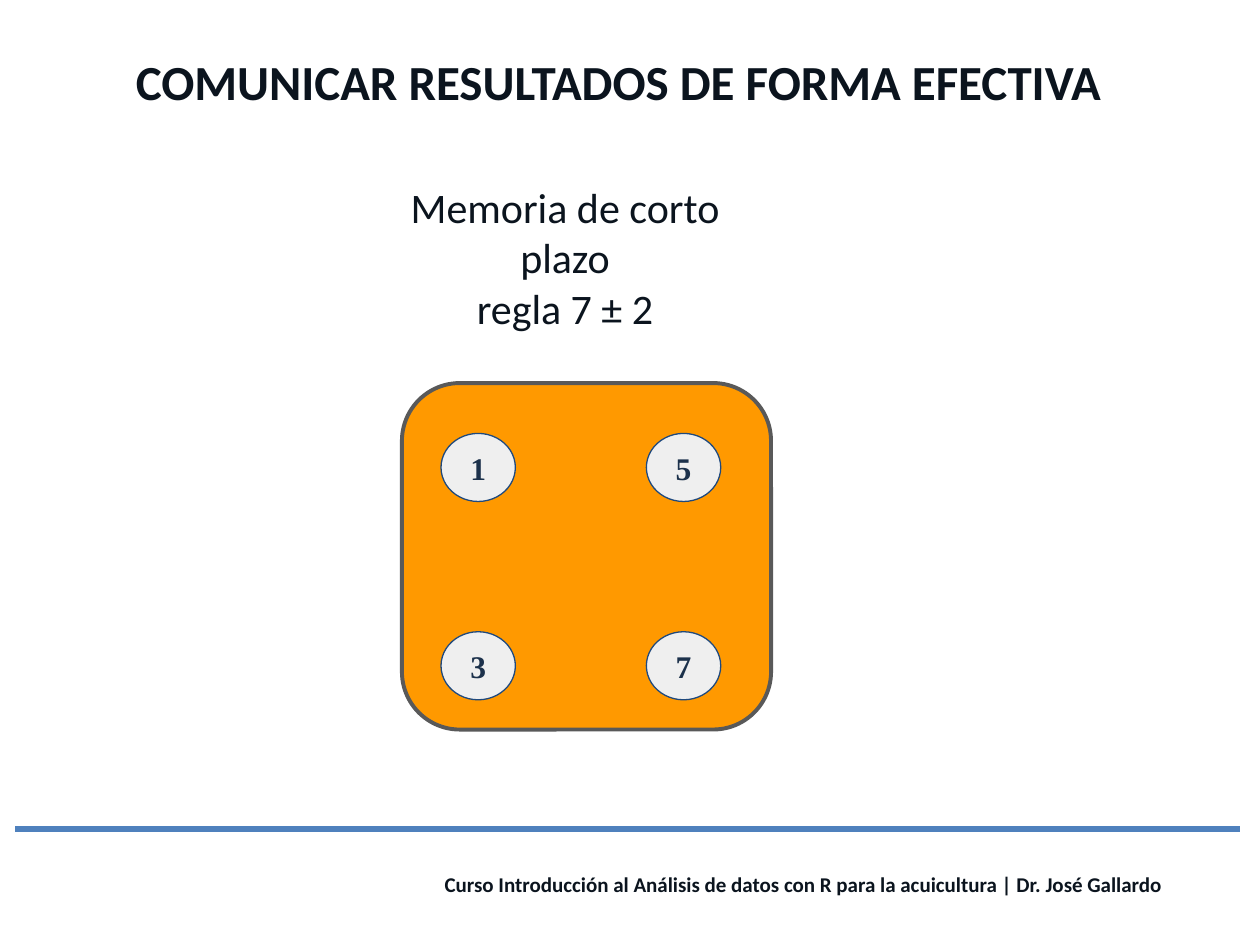
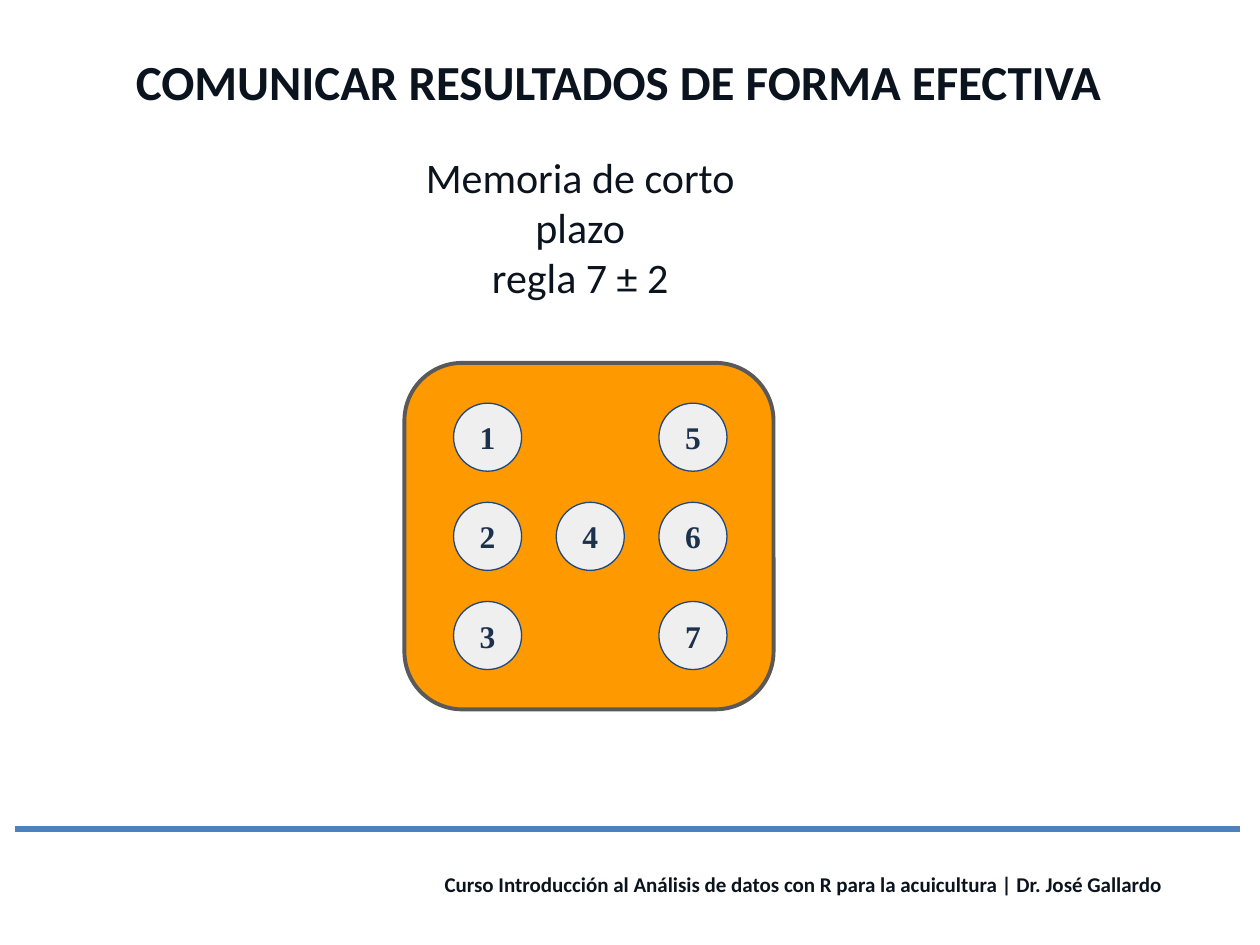
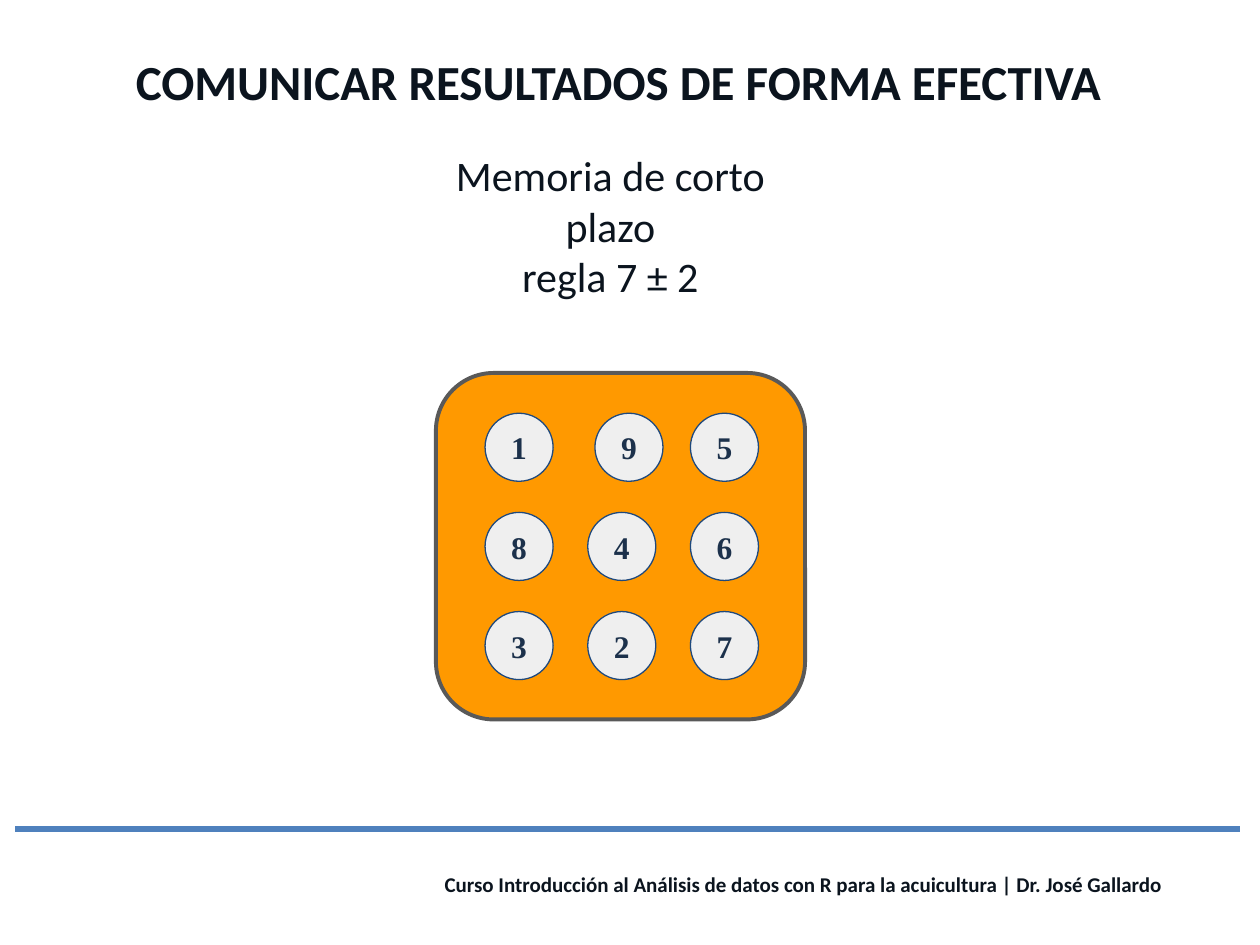
import pptx
import pptx.util
import pptx.dml.color
import pptx.enum.shapes
import pptx.enum.text
import pptx.oxml

# The slide is a grid of 100 columns by 75 rows; every length is in grid units.
COLUMNS, ROWS = 100, 75
WIDTH, HEIGHT = pptx.util.Inches(10), pptx.util.Inches(7.5)

INK, RULE = "0B141E", "4F81BD"
BOARD_FILL, BOARD_LINE = "FF9900", "595959"
BALL_FILL, BALL_LINE, BALL_INK = "EFEFEF", "1F497D", "1C314B"

TITLE_FONT = {"name": "Calibri", "size": 28, "bold": True, "color": INK}
CAPTION_FONT = {"name": "Calibri", "size": 24, "bold": False, "color": INK}
FOOTER_FONT = {"name": "Calibri", "size": 12, "bold": True, "color": INK}
BALL_FONT = {"name": "Times New Roman", "size": 18, "bold": True, "color": BALL_INK}

TITLE = "COMUNICAR RESULTADOS DE FORMA EFECTIVA"
FOOTER = "Curso Introducción al Análisis de datos con R para la acuicultura | Dr. José Gallardo"
CAPTION = ["Memoria de corto plazo", "regla 7 ± 2"]

CAPTION_SIZE = (30.7, 13.1)
BOARD_SIZE = (29.3, 27.5)
BALL_PITCH = (8.15, 7.87)
BALL_HEIGHT = 5.4

# Each ball maps its number to (column, row) on the board.
SLIDES = [
    {"caption_at": (29.5, 13.9), "board_at": (31.9, 30.4), "inset": (3.1, 4),
     "ball_width": 5.9,
     "balls": {1: (0, 0), 3: (0, 2), 5: (2, 0), 7: (2, 2)}},
    {"caption_at": (30.7, 11.5), "board_at": (32.1, 28.8), "inset": (3.9, 3.2),
     "ball_width": 5.4,
     "balls": {1: (0, 0), 2: (0, 1), 3: (0, 2), 4: (1, 1),
               5: (2, 0), 6: (2, 1), 7: (2, 2)}},
    {"caption_at": (33.1, 11.4), "board_at": (34.6, 29.6), "inset": (3.9, 3.2),
     "ball_width": 5.4,
     "balls": {1: (0, 0), 2: (1, 2), 3: (0, 2), 4: (1, 1), 5: (2, 0),
               6: (2, 1), 7: (2, 2), 8: (0, 1), 9: (1.07, 0)}},
]


def rgb(color):
    return pptx.dml.color.RGBColor.from_string(color)


def across(columns):
    return round(WIDTH * columns / COLUMNS)


def down(rows):
    return round(HEIGHT * rows / ROWS)


def frame(left, top, width, height):
    return across(left), down(top), across(width), down(height)


def write(text_frame, lines, font, align):
    text_frame.word_wrap = True
    for index, line in enumerate(lines):
        paragraph = text_frame.paragraphs[0] if index == 0 else text_frame.add_paragraph()
        paragraph.alignment = align
        run = paragraph.add_run()
        run.text = line
        formats = {"name": font["name"], "bold": font["bold"],
                   "size": pptx.util.Pt(font["size"])}
        for attribute, value in formats.items():
            setattr(run.font, attribute, value)
        run.font.color.rgb = rgb(font["color"])


def add_text(slide, box, lines, font, align=pptx.enum.text.PP_ALIGN.LEFT):
    write(slide.shapes.add_textbox(*frame(*box)).text_frame, lines, font, align)


def add_outlined(slide, preset, box, fill, line, line_width):
    shape = slide.shapes.add_shape(preset, *frame(*box))
    shape.shadow.inherit = False
    shape.fill.solid()
    shape.fill.fore_color.rgb = rgb(fill)
    shape.line.color.rgb = rgb(line)
    shape.line.width = pptx.util.Pt(line_width)
    return shape


def add_footer(slide):
    rule = slide.shapes.add_connector(
        pptx.enum.shapes.MSO_CONNECTOR.STRAIGHT,
        across(1.2), down(65.8), across(98.4), down(65.8))
    rule.line.color.rgb = rgb(RULE)
    rule.line.width = pptx.util.Pt(3.15)
    properties = rule._element.spPr
    properties.append(properties.makeelement(pptx.oxml.ns.qn("a:effectLst"), {}))
    add_text(slide, (34.3, 68.7, 64.1, 3), [FOOTER], FOOTER_FONT)


def add_ball(slide, box, number):
    ball = add_outlined(slide, pptx.enum.shapes.MSO_SHAPE.OVAL, box,
                        BALL_FILL, BALL_LINE, 0.75)
    margins = dict.fromkeys(
        ("margin_left", "margin_top", "margin_right", "margin_bottom"), across(1))
    for attribute, value in margins.items():
        setattr(ball.text_frame, attribute, value)
    ball.text_frame.vertical_anchor = pptx.enum.text.MSO_ANCHOR.MIDDLE
    write(ball.text_frame, [str(number)], BALL_FONT, pptx.enum.text.PP_ALIGN.CENTER)


def add_board(slide, board_at, inset, ball_width, balls):
    board = add_outlined(slide, pptx.enum.shapes.MSO_SHAPE.ROUNDED_RECTANGLE,
                         board_at + BOARD_SIZE, BOARD_FILL, BOARD_LINE, 2.25)
    board.adjustments[0] = 0.167
    for number, cell in balls.items():
        left, top = (start + margin + step * pitch for start, margin, step, pitch
                     in zip(board_at, inset, cell, BALL_PITCH))
        add_ball(slide, (left, top, ball_width, BALL_HEIGHT), number)


def add_memory_slide(deck, caption_at, **board):
    slide = deck.slides.add_slide(deck.slide_layouts[6])
    add_footer(slide)
    add_text(slide, (9.8, 3.6, 82.7, 6.2), [TITLE], TITLE_FONT)
    add_text(slide, caption_at + CAPTION_SIZE, CAPTION, CAPTION_FONT,
             pptx.enum.text.PP_ALIGN.CENTER)
    add_board(slide, **board)


def main():
    deck = pptx.Presentation()
    deck.slide_width, deck.slide_height = WIDTH, HEIGHT
    for content in SLIDES:
        add_memory_slide(deck, **content)
    deck.save("out.pptx")


if __name__ == "__main__":
    main()
